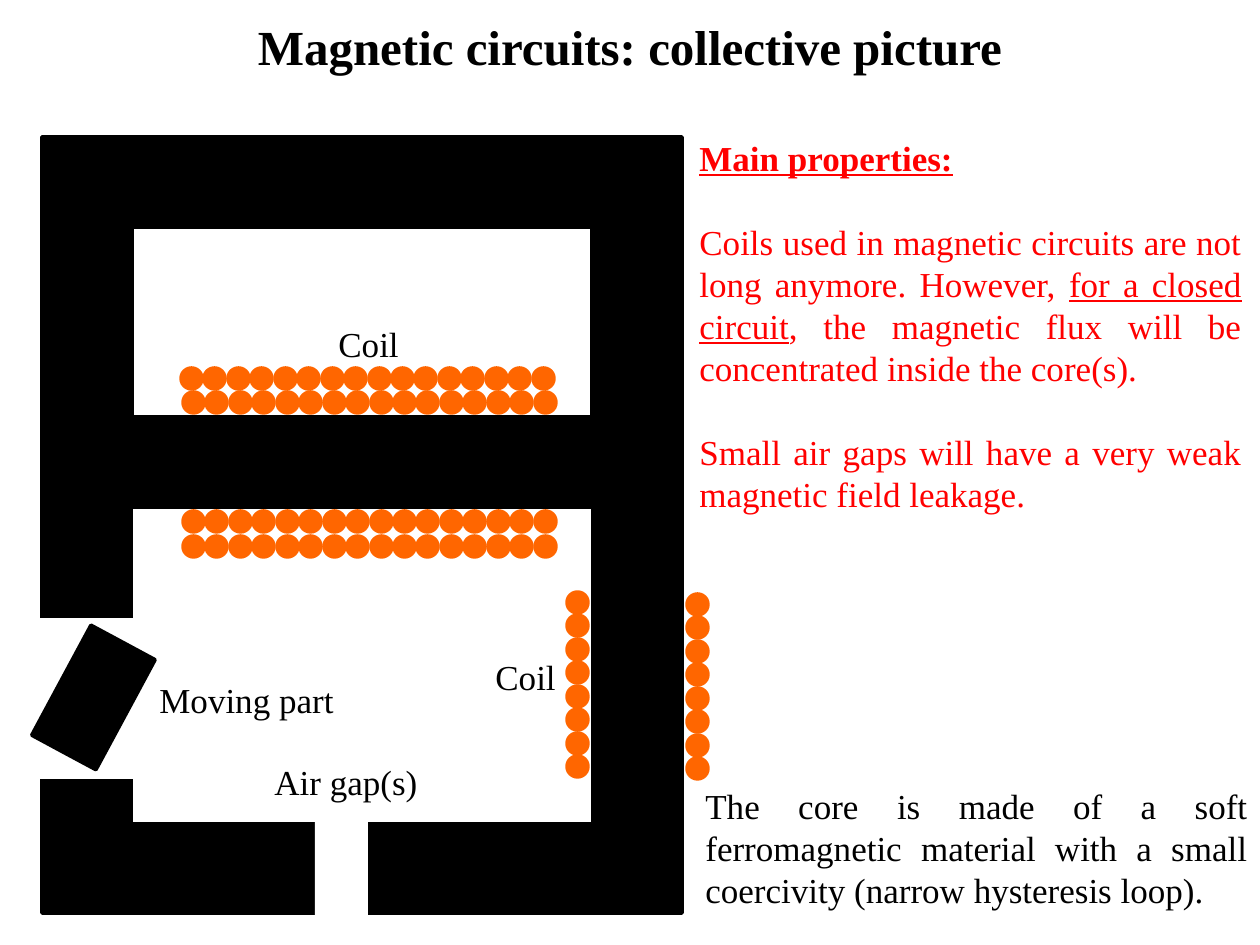
from pptx import Presentation
from pptx.dml.color import RGBColor
from pptx.enum.shapes import MSO_SHAPE as Shape
from pptx.enum.text import MSO_AUTO_SIZE as AutoSize, PP_ALIGN as Align
from pptx.util import Pt

SCALE = 914400 / 126  # EMU per px

THEME = {
    "font": "Times New Roman",
    "title": 28,
    "body": 20,
    "line": 2,
    "leading": 1.2,
    "black": RGBColor(0, 0, 0),
    "white": RGBColor(255, 255, 255),
    "copper": RGBColor(255, 102, 0),
    "red": RGBColor(255, 0, 0),
}


def add_part(shapes, kind, box, color, outlined=True):
    part = shapes.add_shape(kind, *(round(v * SCALE) for v in box))
    part.shadow.inherit = False
    part.fill.solid()
    part.fill.fore_color.rgb = THEME[color]
    if outlined:
        part.line.color.rgb = THEME[color]
        part.line.width = Pt(THEME["line"])
    else:
        part.line.fill.background()
    return part


def add_text(box, paragraphs, color="black", size="body", align=Align.JUSTIFY):
    """Each paragraph is a list of (text, bold, underline) runs."""
    frame = slide.shapes.add_textbox(*(round(v * SCALE) for v in box)).text_frame
    frame.word_wrap = True
    frame.auto_size = AutoSize.SHAPE_TO_FIT_TEXT
    leading = Pt(THEME[size] * THEME["leading"])
    for index, runs in enumerate(paragraphs):
        paragraph = frame.add_paragraph() if index else frame.paragraphs[0]
        paragraph.alignment = align
        paragraph.line_spacing = leading
        paragraph.space_before = leading if index else 0
        for text, bold, underline in runs:
            run = paragraph.add_run()
            run.text = text
            run.font.name = THEME["font"]
            run.font.size = Pt(THEME[size])
            run.font.color.rgb = THEME[color]
            run.font.bold = bold
            run.font.underline = underline


deck = Presentation()
deck.slide_width = round(1260 * SCALE)
deck.slide_height = round(945 * SCALE)
slide = deck.slides.add_slide(deck.slide_layouts[6])

# Title
add_text((0, 10, 1260, 72),
         [[("Magnetic circuits: collective picture", True, False)]],
         size="title", align=Align.CENTER)

# Core: lower and upper loop, with the opening for the moving part
lower_core = add_part(slide.shapes, Shape.FRAME, (42, 417, 640, 496), "black")
lower_core.adjustments[0] = 0.18
add_part(slide.shapes, Shape.RECTANGLE, (19, 620, 147, 157), "white")
upper_core = add_part(slide.shapes, Shape.FRAME, (42, 137, 640, 370), "black")
upper_core.adjustments[0] = 0.245

# Moving part and lower air gap
moving_part = add_part(slide.shapes, Shape.RECTANGLE, (57, 635, 73, 125), "black")
moving_part.rotation = 28.3
add_part(slide.shapes, Shape.RECTANGLE, (315, 810, 53, 125), "white", outlined=False)

# Coils: left, top, turns, step across, step down
TURN = 21
PITCH = 23.45
coils = [
    (181, 368, 16, PITCH, 0),
    (183, 392, 16, PITCH, 0),
    (183, 511, 16, PITCH, 0),
    (183, 536, 16, PITCH, 0),
    (567, 592, 8, 0, PITCH),
    (687, 594, 8, 0, PITCH),
]
for left, top, turns, across, down in coils:
    coil = slide.shapes.add_group_shape()
    for turn in range(turns):
        add_part(coil.shapes, Shape.OVAL,
                 (left + round(turn * across), top + round(turn * down), TURN, TURN),
                 "copper")

# Labels
labels = [
    ("Coil", 326, 316, 102),
    ("Coil", 483, 649, 102),
    ("Air gap(s)", 262, 754, 170),
    ("Moving part", 147, 672, 201),
]
for label, left, top, width in labels:
    add_text((left, top, width, 55), [[(label, False, False)]])

# Core material
add_text((693, 778, 567, 139), [[(
    "The core is made of a soft ferromagnetic material with a small "
    "coercivity (narrow hysteresis loop).", False, False)]])

# Main properties
add_text((687, 130, 567, 394), [
    [("Main properties:", True, True)],
    [("Coils used in magnetic circuits are not long anymore. However, ", False, False),
     ("for a closed circuit", False, True),
     (", the magnetic flux will be concentrated inside the core(s).", False, False)],
    [("Small air gaps will have a very weak magnetic field leakage.", False, False)],
], color="red")

deck.save("out.pptx")
